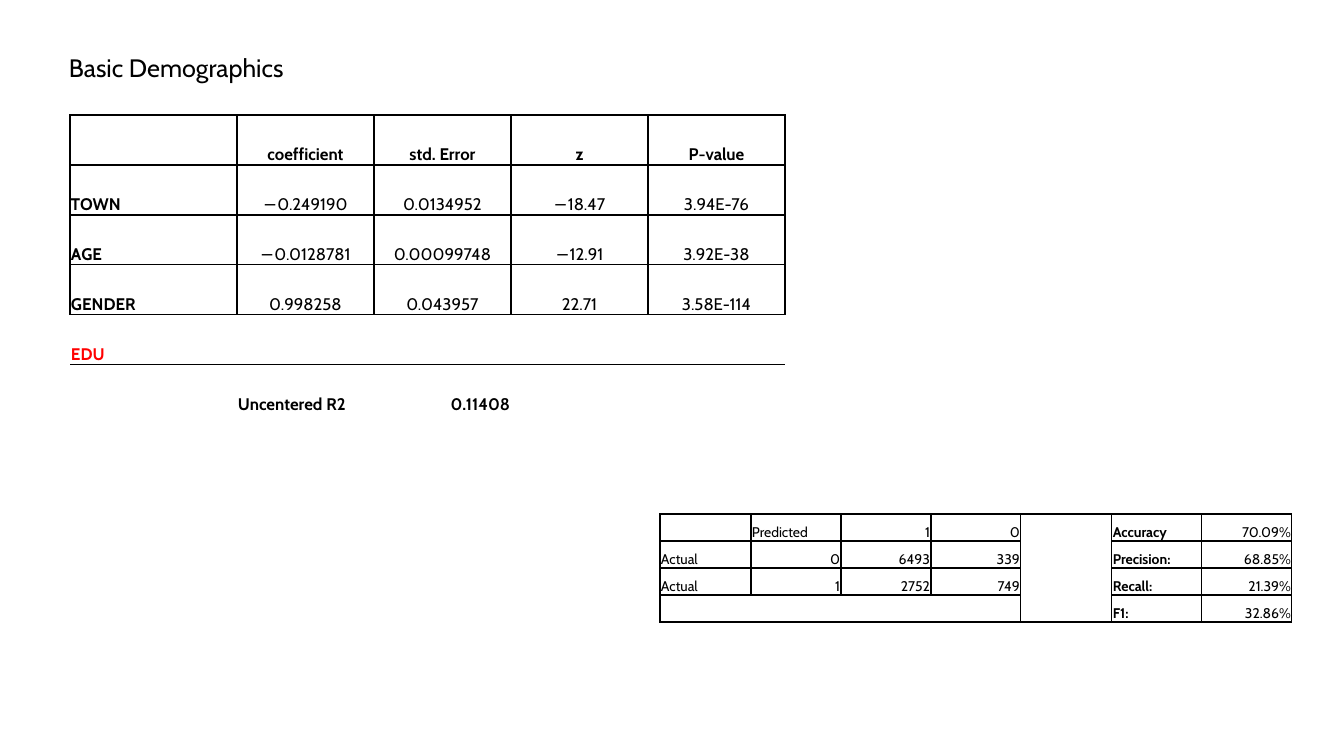
from dataclasses import dataclass, replace

from lxml.etree import SubElement
from pptx import Presentation
from pptx.dml.color import RGBColor
from pptx.enum.text import MSO_ANCHOR as Anchor, MSO_AUTO_SIZE as Auto, PP_ALIGN as Align
from pptx.oxml.ns import qn
from pptx.slide import Slide
from pptx.table import _Cell as Box
from pptx.text.text import TextFrame
from pptx.util import Emu, Pt

FONT = "Cabin"
BLACK = "000000"
RED = "FF0000"
PLAIN = "{2D5ABB26-0587-4C30-8999-92F81FD0307C}"


@dataclass(frozen=True)
class Cell:
    text: str = ""
    align: Align = Align.LEFT
    bold: bool = False
    color: str = BLACK
    sides: str = "LRTB"


@dataclass(frozen=True)
class Grid:
    left: int
    top: int
    cols: list[int]
    high: int
    size: int
    rows: list[list[Cell]]


def px(count: int) -> Emu:
    return Emu(round(count * 914400 / 100.8))


def tint(code: str) -> RGBColor:
    return RGBColor.from_string(code)


def write(frame: TextFrame, text: str, *, size: int, bold: bool = False,
          color: str = BLACK, align: Align = Align.LEFT) -> None:
    para = frame.paragraphs[0]
    para.alignment = align
    if not text:
        SubElement(para._p, qn("a:endParaRPr"), sz=str(size * 100))
        return
    run = para.add_run()
    run.text = text
    run.font.name = FONT
    run.font.size = Pt(size)
    run.font.bold = bold
    run.font.color.rgb = tint(color)


def edge(box: Box, sides: str) -> None:
    """Draw a thin black border on the given sides, a subset of LRTB."""
    props = box._tc.get_or_add_tcPr()
    for side in sides:
        line = SubElement(props, qn(f"a:ln{side}"), w=str(Pt(1)))
        fill = SubElement(line, qn("a:solidFill"))
        SubElement(fill, qn("a:srgbClr"), val=BLACK)


def draw(slide: Slide, grid: Grid):
    table = slide.shapes.add_table(
        len(grid.rows), len(grid.cols), px(grid.left), px(grid.top),
        px(sum(grid.cols)), px(grid.high * len(grid.rows))).table
    table.first_row = table.horz_banding = False
    table._tbl.tblPr.find(qn("a:tableStyleId")).text = PLAIN
    for col, wide in zip(table.columns, grid.cols):
        col.width = px(wide)
    for r, row in enumerate(grid.rows):
        table.rows[r].height = px(grid.high)
        for c, cell in enumerate(row):
            box = table.cell(r, c)
            box.margin_left = box.margin_right = box.margin_top = px(1)
            box.margin_bottom = 0
            box.vertical_anchor = Anchor.BOTTOM
            edge(box, cell.sides)
            box.fill.background()
            write(box.text_frame, cell.text, size=grid.size, bold=cell.bold,
                  color=cell.color, align=cell.align)
    return table


def label(text: str) -> Cell:
    return Cell(text, bold=True)


def mid(text: str, bold: bool = False) -> Cell:
    return Cell(text, Align.CENTER, bold)


def right(text: str) -> Cell:
    return Cell(text, Align.RIGHT)


HEADS = ["coefficient", "std. Error", "z", "P-value"]
TERMS = {
    "TOWN": ["−0.249190", "0.0134952", "−18.47", "3.94E-76"],
    "AGE": ["−0.0128781", "0.00099748", "−12.91", "3.92E-38"],
    "GENDER": ["0.998258", "0.043957", "22.71", "3.58E-114"],
}
BARE = Cell(sides="")
MODEL = Grid(70, 115, [167] + [137] * 4, 50, 12, [
    [Cell()] + [mid(head, True) for head in HEADS],
    *([label(term)] + [mid(value) for value in values]
      for term, values in TERMS.items()),
    [Cell("EDU", bold=True, color=RED, sides="T")] + [Cell(sides="T")] * 4,
    [BARE, replace(label("Uncentered R2"), sides=""),
     Cell("0.11408", Align.RIGHT, True, sides=""), BARE, BARE],
    [BARE] * 5,
])

COUNTS = [
    [Cell(), Cell("Predicted"), right("1"), right("0")],
    [Cell("Actual"), right("0"), right("6493"), right("339")],
    [Cell("Actual"), right("1"), right("2752"), right("749")],
    [Cell()] * 4,
]
GAPS = ["LRT", "LR", "LR", "LRB"]
SCORES = [("Accuracy", "70.09%"), ("Precision:", "68.85%"),
          ("Recall:", "21.39%"), ("F1:", "32.86%")]
MATRIX = Grid(660, 514, [91, 90, 90, 90, 91, 90, 90], 27, 10, [
    count + [Cell(sides=gap), label(name), right(score)]
    for count, gap, (name, score) in zip(COUNTS, GAPS, SCORES)
])


def main() -> None:
    deck = Presentation()
    deck.slide_width, deck.slide_height = px(1344), px(756)
    slide = deck.slides.add_slide(deck.slide_layouts[6])

    title = slide.shapes.add_textbox(px(59), px(47), px(1039), px(40)).text_frame
    title.word_wrap = True
    title.auto_size = Auto.SHAPE_TO_FIT_TEXT
    write(title, "Basic Demographics", size=18)

    draw(slide, MODEL)
    matrix = draw(slide, MATRIX)
    matrix.cell(3, 0).merge(matrix.cell(3, 3))
    deck.save("out.pptx")


if __name__ == "__main__":
    main()
